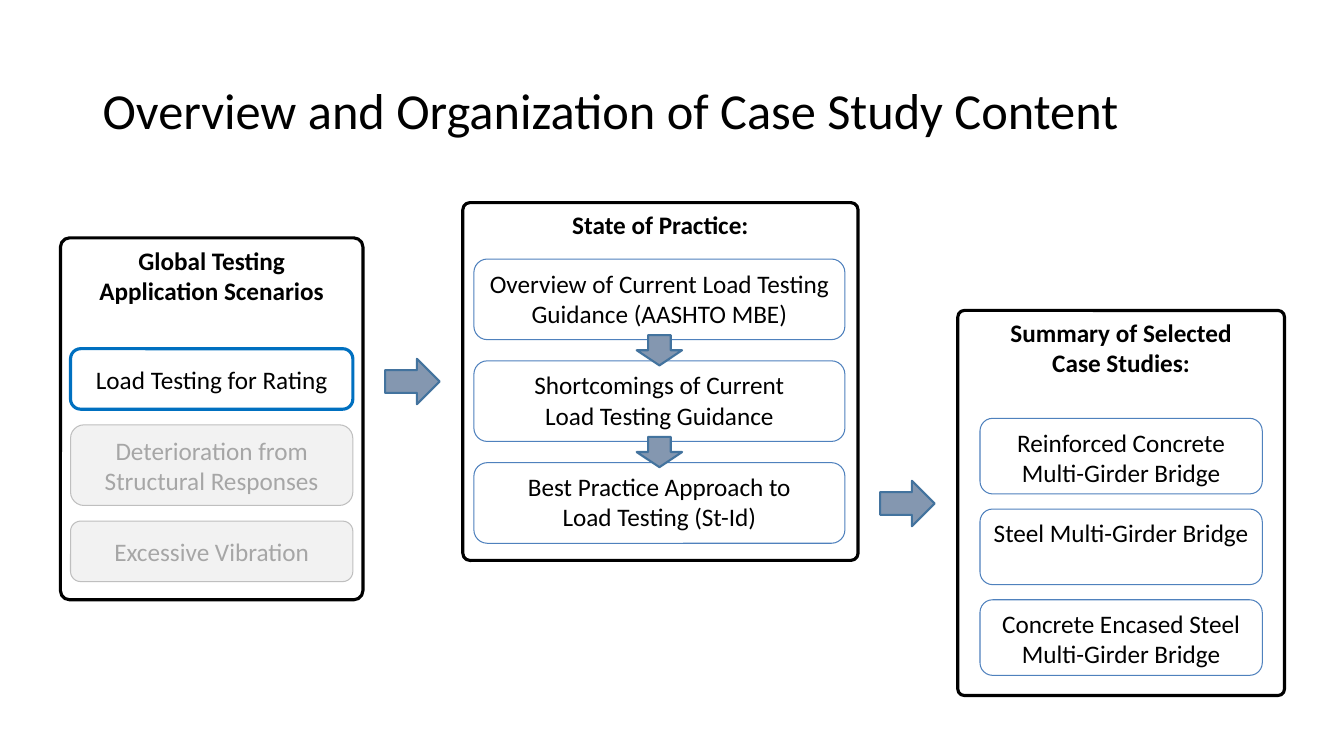
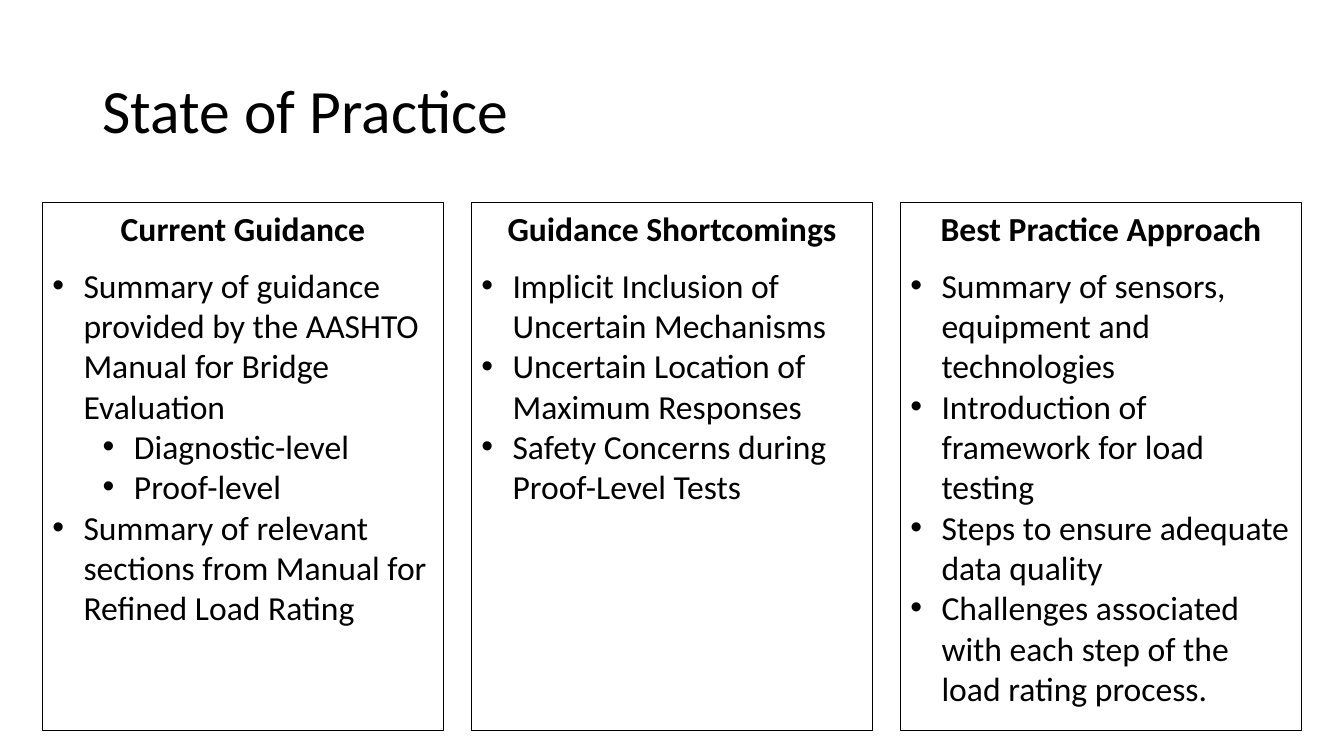
from dataclasses import dataclass
from lxml.etree import SubElement
from pptx import Presentation
from pptx.dml.color import RGBColor
from pptx.enum.shapes import MSO_SHAPE
from pptx.enum.text import MSO_ANCHOR, PP_ALIGN
from pptx.oxml.ns import qn
from pptx.util import Inches, Pt


@dataclass(frozen=True)
class Look:
    fill: str | None
    line: str
    width: float
    ink: str = "000000"
    mid: bool = False


@dataclass(frozen=True)
class Theme:
    font: str = "Calibri"
    ink: str = "000000"
    label: int = 18
    body: int = 24
    panel: Look = Look("FFFFFF", "000000", 2.25)
    plain: Look = Look("FFFFFF", "4F81BD", 0.75)
    focus: Look = Look("FFFFFF", "0070C0", 2.25, mid=True)
    faded: Look = Look("F2F2F2", "BFBFBF", 0.75, "A6A6A6", True)
    arrow: Look = Look("8497B0", "43739E", 1.5)
    column: Look = Look(None, "000000", 1)


THEME = Theme()


@dataclass(frozen=True)
class Area:
    """Place and size in grid cells."""
    x: float
    y: float
    w: float
    h: float


@dataclass(frozen=True)
class Item:
    text: str
    high: float
    look: Look = THEME.plain


@dataclass(frozen=True)
class Panel:
    area: Area
    head: str
    round: float
    left: float
    top: float
    wide: float
    gap: float
    items: tuple[Item, ...]
    linked: bool = False


@dataclass(frozen=True)
class Column:
    head: str
    points: tuple[tuple[int, str], ...]


def cell(count: float) -> int:
    """Ten grid cells make one inch."""
    return Inches(count / 10)


def place(area: Area) -> tuple[int, int, int, int]:
    return cell(area.x), cell(area.y), cell(area.w), cell(area.h)


def ink(para, size: int, color: str, bold: bool = False) -> None:
    for run in para.runs:
        font = run.font
        font.name, font.size, font.bold = THEME.font, Pt(size), bold
        font.color.rgb = RGBColor.from_string(color)


def draw(shapes, kind: MSO_SHAPE, area: Area, look: Look):
    shape = shapes.add_shape(kind, *place(area))
    shape.shadow.inherit = False
    if look.fill is None:
        shape.fill.background()
    else:
        shape.fill.solid()
        shape.fill.fore_color.rgb = RGBColor.from_string(look.fill)
    shape.line.color.rgb = RGBColor.from_string(look.line)
    shape.line.width = Pt(look.width)
    frame = shape.text_frame
    frame.word_wrap = True
    frame.vertical_anchor = MSO_ANCHOR.MIDDLE if look.mid else MSO_ANCHOR.TOP
    return shape


def box(shapes, area: Area, look: Look, text: str,
        bold: bool = False, curve: float = 0.167) -> None:
    shape = draw(shapes, MSO_SHAPE.ROUNDED_RECTANGLE, area, look)
    shape.adjustments[0] = curve
    shape.text_frame.text = text
    for para in shape.text_frame.paragraphs:
        para.alignment = PP_ALIGN.CENTER
        ink(para, THEME.label, look.ink, bold)


def arrow(shapes, x: float, y: float, long: float, turn: int = 0) -> None:
    """Draw an arrow centred on x and y."""
    high = 4.5
    area = Area(x - long / 2, y - high / 2, long, high)
    draw(shapes, MSO_SHAPE.RIGHT_ARROW, area, THEME.arrow).rotation = turn


def title(slide, text: str, size: int) -> None:
    frame = slide.shapes.add_textbox(*place(Area(9.2, 4, 115, 14.5))).text_frame
    frame.word_wrap = True
    frame.vertical_anchor = MSO_ANCHOR.MIDDLE
    frame.text = text
    para = frame.paragraphs[0]
    para.line_spacing = 0.9
    ink(para, size, THEME.ink)


def stack(slide, panel: Panel) -> None:
    shapes = slide.shapes.add_group_shape().shapes
    box(shapes, panel.area, THEME.panel, panel.head, True, panel.round)
    top, joints = panel.top, []
    for item in panel.items:
        area = Area(panel.left, top, panel.wide, item.high)
        box(shapes, area, item.look, item.text)
        top += item.high + panel.gap
        joints.append(top - panel.gap / 2)
    if panel.linked:
        for joint in joints[:-1]:
            arrow(shapes, panel.left + panel.wide / 2, joint, 3, 90)


def bullet(para, level: int) -> None:
    para.level = level
    props = para._p.get_or_add_pPr()
    props.set("marL", str(cell(3.1 + 5 * level)))
    props.set("indent", str(-cell(3.1)))
    SubElement(props, qn("a:buFont")).set("typeface", "Arial")
    SubElement(props, qn("a:buChar")).set("char", "•")


def listing(shapes, area: Area, column: Column) -> None:
    frame = draw(shapes, MSO_SHAPE.RECTANGLE, area, THEME.column).text_frame
    frame.text = column.head
    head = frame.paragraphs[0]
    head.alignment = PP_ALIGN.CENTER
    head.space_after = Pt(12)
    ink(head, THEME.body, THEME.ink, True)
    for level, text in column.points:
        para = frame.add_paragraph()
        para.text = text
        para.alignment = PP_ALIGN.LEFT
        bullet(para, level)
        ink(para, THEME.body, THEME.ink)


# Content of the overview
PANELS = (
    Panel(Area(6, 23.6, 30, 35.9), "Global Testing\nApplication Scenarios",
          0.03, 7, 34.6, 28, 1.55, (
              Item("Load Testing for Rating", 6, THEME.focus),
              Item("Deterioration from Structural Responses", 8, THEME.faded),
              Item("Excessive Vibration", 6, THEME.faded))),
    Panel(Area(45.9, 20.1, 39.2, 35.5), "State of Practice:",
          0.02, 47, 25.7, 36.8, 2.1, (
              Item("Overview of Current Load Testing Guidance (AASHTO MBE)", 8),
              Item("Shortcomings of Current\nLoad Testing Guidance", 8),
              Item("Best Practice Approach to\nLoad Testing (St-Id)", 8)),
          linked=True),
    Panel(Area(95, 30.8, 32.4, 38.2), "Summary of Selected\nCase Studies:",
          0.02, 97.2, 41.5, 28, 1.5, (
              Item("Reinforced Concrete Multi-Girder Bridge", 7.5),
              Item("Steel Multi-Girder Bridge", 7.5),
              Item("Concrete Encased Steel Multi-Girder Bridge", 7.5))),
)

# Content of the columns: level and text
COLUMNS = (
    Column("Current Guidance", (
        (0, "Summary of guidance provided by the AASHTO Manual for Bridge "
            "Evaluation"),
        (1, "Diagnostic-level"),
        (1, "Proof-level"),
        (0, "Summary of relevant sections from Manual for Refined Load "
            "Rating"))),
    Column("Guidance Shortcomings", (
        (0, "Implicit Inclusion of Uncertain Mechanisms"),
        (0, "Uncertain Location of Maximum Responses"),
        (0, "Safety Concerns during Proof-Level Tests"))),
    Column("Best Practice Approach", (
        (0, "Summary of sensors, equipment and technologies"),
        (0, "Introduction of framework for load testing"),
        (0, "Steps to ensure adequate data quality"),
        (0, "Challenges associated with each step of the load rating "
            "process."))),
)


def overview(slide) -> None:
    title(slide, "Overview and Organization of Case Study Content", 36)
    for panel in PANELS:
        stack(slide, panel)
    for x, y in ((40.9, 37.85), (90, 49.95)):
        arrow(slide.shapes, x, y, 5.4)


def practice(slide) -> None:
    title(slide, "State of Practice", 44)
    shapes = slide.shapes.add_group_shape().shapes
    wide, gap = 39.8, 2.75
    for index, column in enumerate(COLUMNS):
        area = Area(4.2 + index * (wide + gap), 20.1, wide, 52.4)
        listing(shapes, area, column)


def main() -> None:
    deck = Presentation()
    deck.slide_width, deck.slide_height = Inches(13.33), Inches(7.5)
    for build in (overview, practice):
        build(deck.slides.add_slide(deck.slide_layouts[6]))
    deck.save("out.pptx")


if __name__ == "__main__":
    main()
